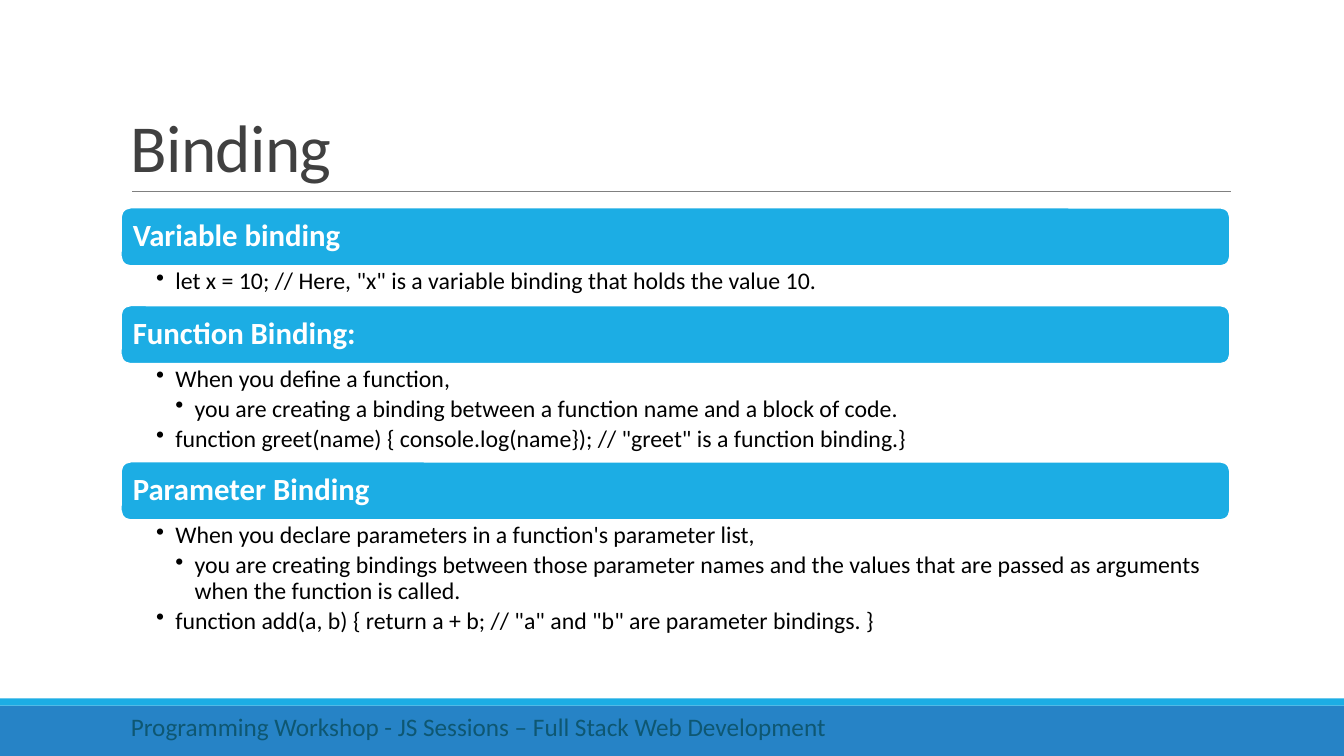
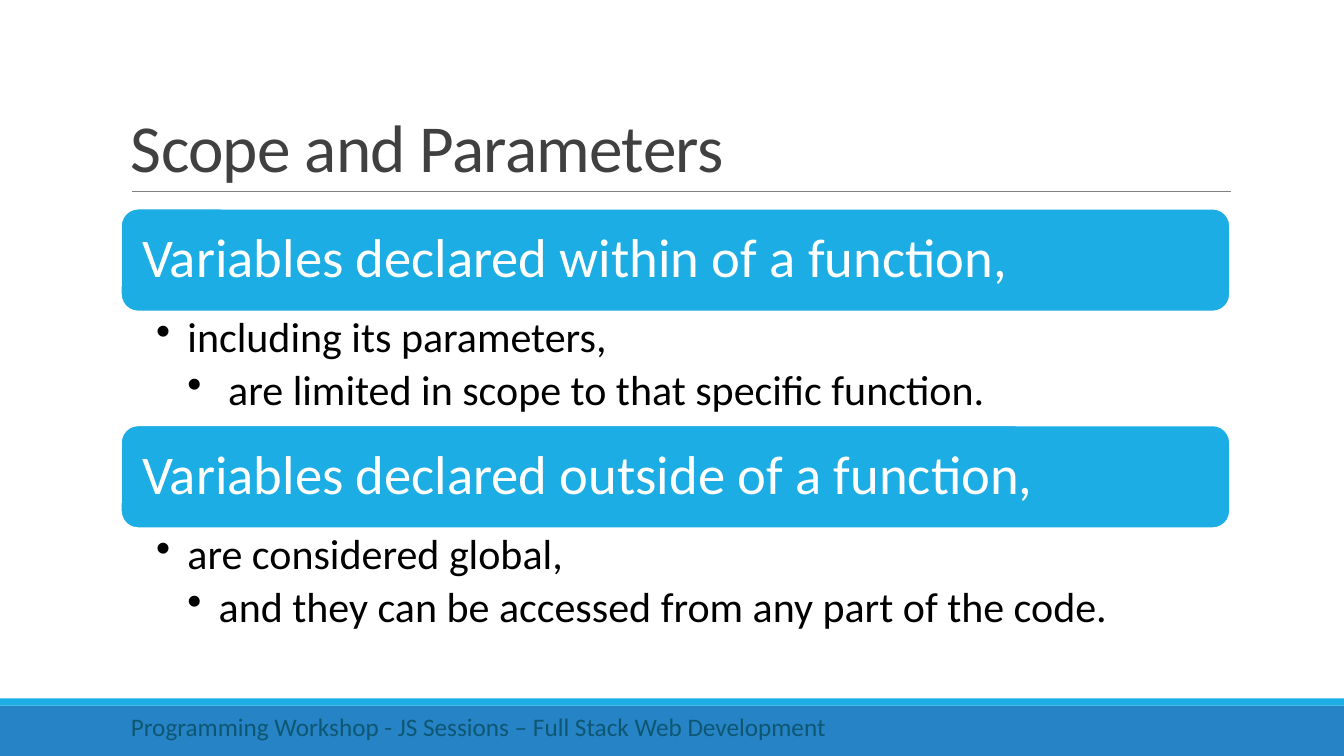
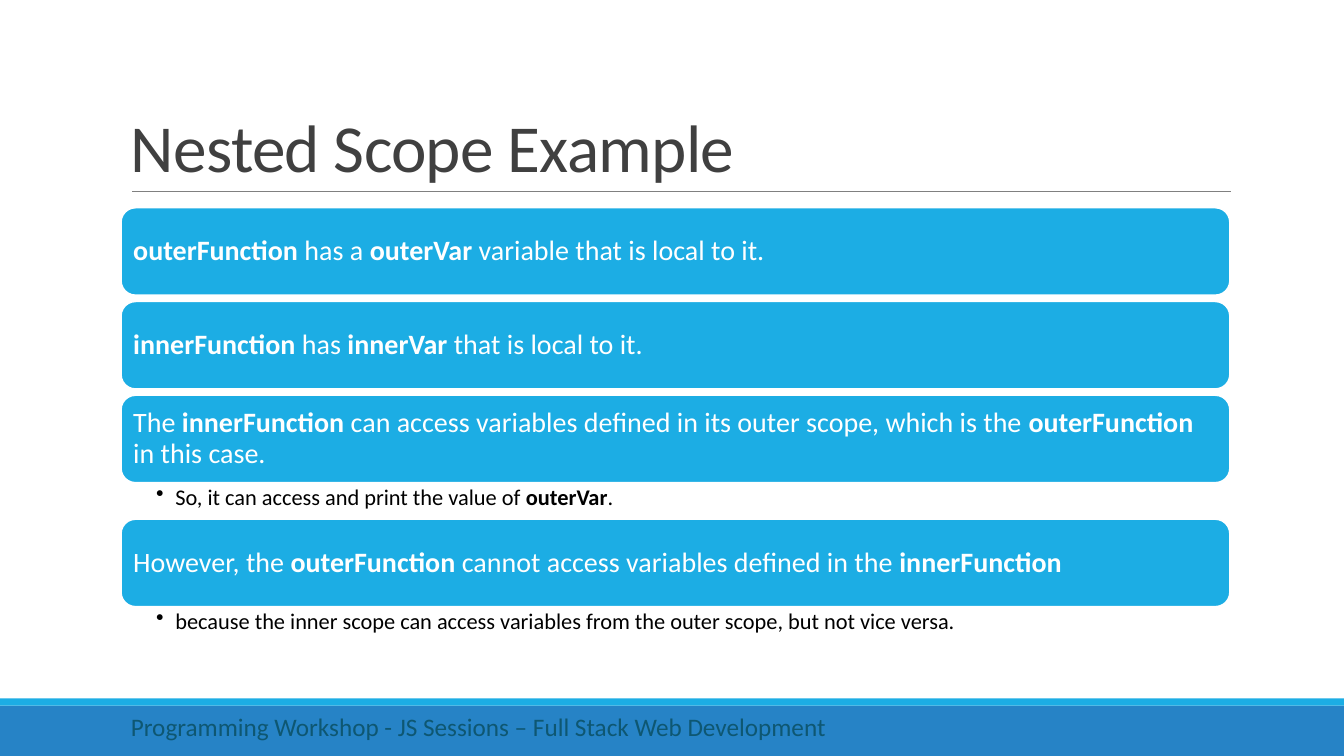
from dataclasses import dataclass

from lxml import etree
from pptx import Presentation
from pptx.dml.color import RGBColor
from pptx.enum.shapes import MSO_CONNECTOR, MSO_SHAPE
from pptx.enum.text import MSO_ANCHOR, PP_ALIGN
from pptx.oxml.ns import qn
from pptx.util import Emu, Inches, Pt

RECTANGLE = MSO_SHAPE.RECTANGLE
ROUNDED = MSO_SHAPE.ROUNDED_RECTANGLE
STRAIGHT = MSO_CONNECTOR.STRAIGHT
TOP, MIDDLE, BOTTOM = MSO_ANCHOR.TOP, MSO_ANCHOR.MIDDLE, MSO_ANCHOR.BOTTOM
LEFT = PP_ALIGN.LEFT

FONT = "Calibri"
COLOURS = {
    "band": "2683C6",
    "accent": "1CADE4",
    "rule": "808080",
    "title": "404040",
    "footer": "0E5772",
    "light": "FFFFFF",
    "dark": "000000",
}

WIDTH, HEIGHT = 13.33, 7.5
MARGIN = 0.09 * WIDTH
CONTENT = 11
TITLE_TOP, RULE_TOP = 0.31, 1.9
BAND_TOP, STRIPE = 7, 0.07
FOOTER = "Programming Workshop - JS Sessions – Full Stack Web Development"


@dataclass
class OutlineStyle:
    """Measures of one outline: sizes in points, the rest in inches."""
    top: float
    bar_height: float
    bar_size: int
    bar_inset: float
    detail_size: int
    detail_indent: float
    detail_insets: tuple


@dataclass
class Section:
    """A heading bar, the space below it and its (level, text) bullets."""
    heading: str
    space: float
    bullets: tuple = ()


def colour(name):
    return RGBColor.from_string(COLOURS[name])


def prepare_frame(shape, anchor, insets=(0.1, 0.05, 0.1, 0.05)):
    frame = shape.text_frame
    frame.word_wrap = True
    frame.vertical_anchor = anchor
    (frame.margin_left, frame.margin_top,
     frame.margin_right, frame.margin_bottom) = map(Inches, insets)
    return frame


def write(paragraph, text, size, colour_name, line_spacing=1.0, tracking=None):
    """Add the runs of a text in which ** switches bold on and off."""
    paragraph.alignment = LEFT
    paragraph.line_spacing = line_spacing
    for position, part in enumerate(text.split("**")):
        if not part:
            continue
        run = paragraph.add_run()
        run.text = part
        run.font.name = FONT
        run.font.size = Pt(size)
        run.font.bold = position % 2 == 1
        run.font.color.rgb = colour(colour_name)
        if tracking:
            run.font._element.set("spc", str(round(tracking * 100)))


def add_bullet(paragraph, level, indent):
    properties = paragraph._p.get_or_add_pPr()
    properties.set("marL", str(Inches(level * indent)))
    properties.set("indent", str(-Inches(indent)))
    etree.SubElement(properties, qn("a:buChar")).set("char", "•")


def add_box(slide, left, top, width, height):
    return slide.shapes.add_textbox(*map(Inches, (left, top, width, height)))


def add_filled(slide, kind, left, top, width, height, fill):
    shape = slide.shapes.add_shape(kind, *map(Inches, (left, top, width, height)))
    shape.shadow.inherit = False
    shape.fill.solid()
    shape.fill.fore_color.rgb = colour(fill)
    shape.line.fill.background()
    return shape


def add_rule(slide):
    left, top = Inches(MARGIN + 0.11), Inches(RULE_TOP)
    rule = slide.shapes.add_connector(
        STRAIGHT, left, top, Emu(left + Inches(10.9)), top)
    rule.line.color.rgb = colour("rule")
    rule.line.width = Pt(0.5)
    etree.SubElement(rule._element.spPr, qn("a:effectLst"))


def add_base_slide(presentation, title):
    """Add a slide with the bands, the ruled title and the footer."""
    slide = presentation.slides.add_slide(presentation.slide_layouts[6])
    add_filled(slide, RECTANGLE, 0, BAND_TOP, WIDTH, HEIGHT - BAND_TOP, "band")
    add_filled(slide, RECTANGLE, 0, BAND_TOP - STRIPE, WIDTH, STRIPE, "accent")
    add_rule(slide)
    box = add_box(slide, MARGIN, TITLE_TOP, CONTENT, RULE_TOP - TITLE_TOP)
    write(prepare_frame(box, BOTTOM).paragraphs[0], title, 48, "title", 0.85, -0.5)
    box = add_box(slide, MARGIN, BAND_TOP + 0.01, 7.78, 0.4)
    write(prepare_frame(box, TOP).paragraphs[0], FOOTER, 18, "footer")
    return slide


def add_bar(slide, top, text, style):
    bar = add_filled(slide, ROUNDED, MARGIN, top, CONTENT, style.bar_height, "accent")
    bar.line.color.rgb = colour("light")
    bar.line.width = Pt(1.25)
    frame = prepare_frame(bar, MIDDLE, (style.bar_inset,) * 4)
    write(frame.paragraphs[0], text, style.bar_size, "light", 0.9)


def add_details(slide, top, section, style):
    box = add_box(slide, MARGIN, top, CONTENT, section.space)
    frame = prepare_frame(box, TOP, style.detail_insets)
    for position, (level, text) in enumerate(section.bullets):
        paragraph = frame.add_paragraph() if position else frame.paragraphs[0]
        write(paragraph, text, style.detail_size, "dark", 0.9)
        paragraph.space_after = Pt(0.18 * style.detail_size)
        add_bullet(paragraph, level, style.detail_indent)


def add_outline(slide, style, sections):
    """Stack the sections downwards, each a bar with its bullets below."""
    top = style.top
    for section in sections:
        add_bar(slide, top, section.heading, style)
        top += style.bar_height
        if section.bullets:
            add_details(slide, top, section, style)
        top += section.space


BINDING = (
    OutlineStyle(2.06, 0.58, 22, 0.09, 17, 0.19, (0.35, 0.03, 0.17, 0.03)),
    (
        Section("**Variable binding**", 0.39, (
            (1, 'let x = 10; // Here, "x" is a variable binding that holds the value 10.'),
        )),
        Section("**Function Binding:**", 0.97, (
            (1, "When you define a function,"),
            (2, "you are creating a binding between a function name and a block of code."),
            (1, 'function greet(name) { console.log(name}); // "greet" is a function binding.}'),
        )),
        Section("**Parameter Binding**", 1.22, (
            (1, "When you declare parameters in a function's parameter list,"),
            (2, "you are creating bindings between those parameter names and the values "
                "that are passed as arguments when the function is called."),
            (1, 'function add(a, b) { return a + b; // "a" and "b" are parameter bindings. }'),
        )),
    ),
)

SCOPE = (
    OutlineStyle(2.07, 1.02, 39, 0.16, 30, 0.31, (0.35, 0.05, 0.3, 0.05)),
    (
        Section("Variables declared within of a function,", 1.13, (
            (1, "including its parameters,"),
            (2, " are limited in scope to that specific function."),
        )),
        Section("Variables declared outside of a function,", 1.13, (
            (1, "are considered global,"),
            (2, "and they can be accessed from any part of the code."),
        )),
    ),
)

NESTED_SCOPE = (
    OutlineStyle(2.06, 0.87, 20, 0.08, 16, 0.19, (0.35, 0.03, 0.16, 0.03)),
    (
        Section("**outerFunction** has a **outerVar** variable that is local to it.", 0.06),
        Section("**innerFunction** has **innerVar** that is local to it.", 0.06),
        Section("The **innerFunction** can access variables defined in its outer scope, "
                "which is the **outerFunction** in this case.", 0.36, (
                    (1, "So, it can access and print the value of **outerVar**."),
                )),
        Section("However, the **outerFunction** cannot access variables defined in the "
                "**innerFunction**", 0.36, (
                    (1, "because the inner scope can access variables from the outer "
                        "scope, but not vice versa."),
                )),
    ),
)


def main():
    presentation = Presentation()
    presentation.slide_width = Inches(WIDTH)
    presentation.slide_height = Inches(HEIGHT)
    for title, (style, sections) in (
        ("Binding", BINDING),
        ("Scope and Parameters", SCOPE),
        ("Nested Scope Example", NESTED_SCOPE),
    ):
        add_outline(add_base_slide(presentation, title), style, sections)
    presentation.save("out.pptx")


if __name__ == "__main__":
    main()
